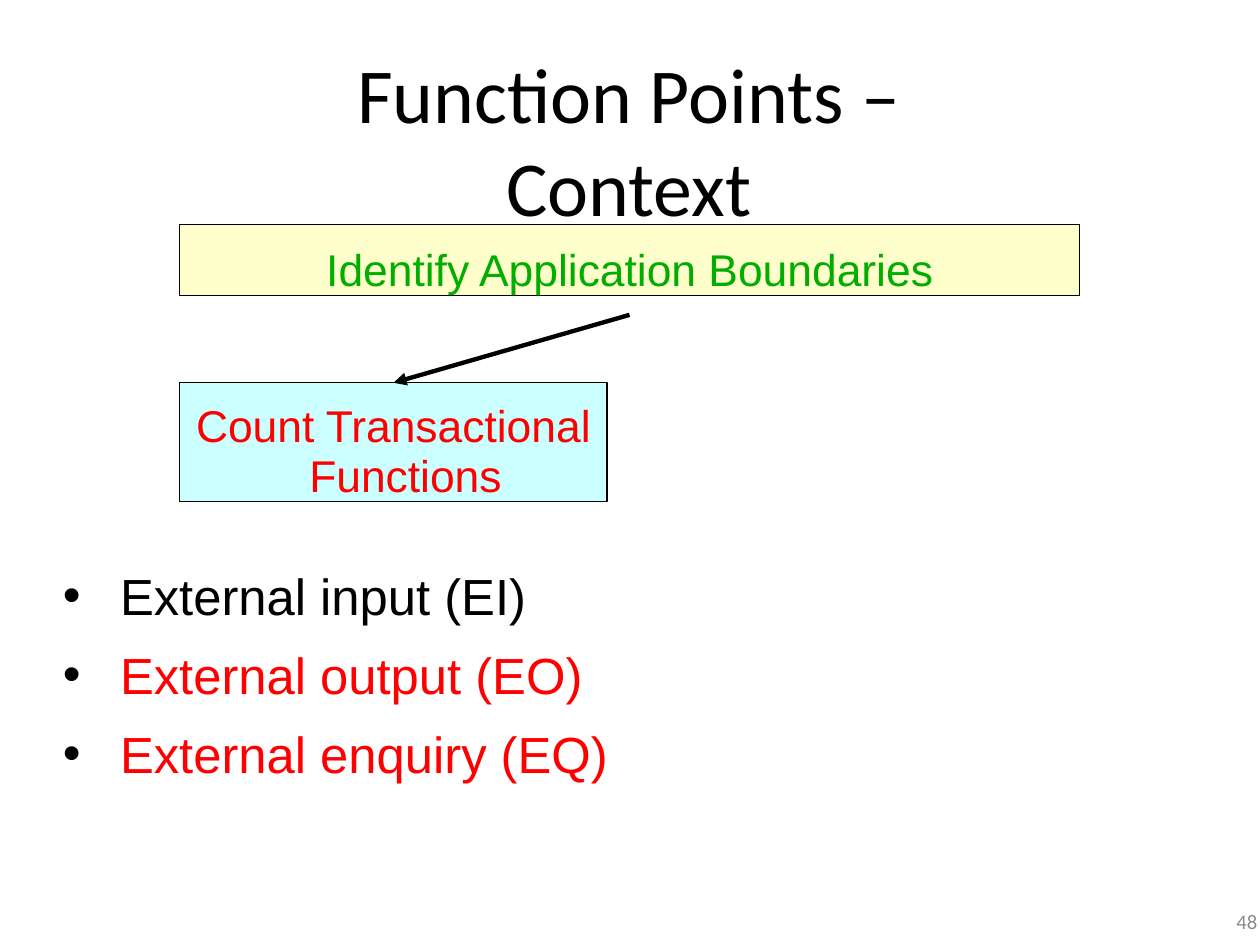
from dataclasses import dataclass

from lxml.etree import SubElement
from pptx import Presentation
from pptx.dml.color import RGBColor
from pptx.enum.shapes import MSO_CONNECTOR, MSO_SHAPE
from pptx.enum.text import MSO_ANCHOR, MSO_AUTO_SIZE, PP_ALIGN
from pptx.oxml.ns import qn
from pptx.shapes.autoshape import Shape
from pptx.slide import Slide
from pptx.text.text import TextFrame, _Paragraph as Paragraph
from pptx.util import Cm, Length, Pt

BLACK = RGBColor(0x00, 0x00, 0x00)
GRAY = RGBColor(0x8C, 0x8C, 0x8C)
RED = RGBColor(0xFF, 0x00, 0x00)
GREEN = RGBColor(0x00, 0xAD, 0x00)
CREAM = RGBColor(0xFF, 0xFF, 0xCC)
PALE_CYAN = RGBColor(0xCC, 0xFF, 0xFF)
TITLE_ONLY = 5


@dataclass(frozen=True)
class Area:
    left: Length
    top: Length
    width: Length
    height: Length


@dataclass(frozen=True)
class StepBox:
    text: str
    area: Area
    fill: RGBColor
    color: RGBColor
    top_inset: Length
    space_before: Length


@dataclass(frozen=True)
class Bullet:
    text: str
    color: RGBColor
    space_before: Length


TITLE_AREA = Area(Cm(5.05), Cm(2.13), Cm(17.86), Cm(1.93))
LIST_AREA = Area(Cm(1.37), Cm(12.12), Cm(12.19), Cm(5.33))
NUMBER_AREA = Area(Cm(27.05), Cm(19.94), Cm(0.91), Cm(0.81))
BOUNDARIES = StepBox(
    "Identify Application Boundaries", Area(Cm(4), Cm(5), Cm(20), Cm(1.57)),
    CREAM, GREEN, Cm(0.38), Pt(10.6),
)
TRANSACTIONS = StepBox(
    "Count Transactional Functions", Area(Cm(4), Cm(8.51), Cm(9.5), Cm(2.64)),
    PALE_CYAN, RED, Cm(0.43), Pt(12.1),
)
BULLETS = [
    Bullet("External input (EI)", BLACK, Pt(12.2)),
    Bullet("External output (EO)", RED, Pt(11.3)),
    Bullet("External enquiry (EQ)", RED, Pt(11.3)),
]


def prepare_frame(frame: TextFrame, anchor: MSO_ANCHOR, top: Length = Cm(0), side: Length = Cm(0)) -> None:
    frame.word_wrap = True
    frame.auto_size = MSO_AUTO_SIZE.SHAPE_TO_FIT_TEXT
    frame.vertical_anchor = anchor
    frame.margin_left = frame.margin_right = side
    frame.margin_top, frame.margin_bottom = top, Cm(0)


def write(paragraph: Paragraph, text: str, font: str, size: float, color: RGBColor, align: PP_ALIGN) -> None:
    paragraph.text = text
    paragraph.alignment = align
    paragraph.font.name = font
    paragraph.font.size = Pt(size)
    paragraph.font.color.rgb = color


def set_indent(paragraph: Paragraph, left: Length, first: Length) -> None:
    properties = paragraph._p.get_or_add_pPr()
    properties.set("marL", str(int(left)))
    properties.set("indent", str(int(first)))


def add_text_box(slide: Slide, area: Area) -> Shape:
    return slide.shapes.add_textbox(area.left, area.top, area.width, area.height)


def add_title(slide: Slide) -> None:
    title = slide.shapes.title
    title.left, title.top = TITLE_AREA.left, TITLE_AREA.top
    title.width, title.height = TITLE_AREA.width, TITLE_AREA.height
    prepare_frame(title.text_frame, MSO_ANCHOR.MIDDLE, side=Cm(0.5))
    paragraph = title.text_frame.paragraphs[0]
    write(paragraph, "Function Points – Context", "Calibri", 49, BLACK, PP_ALIGN.CENTER)
    paragraph.space_before = Pt(1)


def add_step_box(slide: Slide, step: StepBox) -> Paragraph:
    area = step.area
    box = slide.shapes.add_shape(MSO_SHAPE.RECTANGLE, area.left, area.top, area.width, area.height)
    box.shadow.inherit = False
    box.fill.solid()
    box.fill.fore_color.rgb = step.fill
    box.line.color.rgb = BLACK
    box.line.width = Pt(0.75)
    prepare_frame(box.text_frame, MSO_ANCHOR.TOP, step.top_inset)
    paragraph = box.text_frame.paragraphs[0]
    write(paragraph, step.text, "Arial", 28, step.color, PP_ALIGN.CENTER)
    paragraph.space_before = step.space_before
    return paragraph


def add_arrow(slide: Slide, start: tuple[Length, Length], end: tuple[Length, Length]) -> None:
    arrow = slide.shapes.add_connector(MSO_CONNECTOR.STRAIGHT, *start, *end)
    arrow.line.color.rgb = BLACK
    arrow.line.width = Pt(2.75)
    SubElement(arrow.line._get_or_add_ln(), qn("a:tailEnd"), type="triangle")
    SubElement(arrow._element.spPr, qn("a:effectLst"))


def add_bullets(slide: Slide) -> None:
    frame = add_text_box(slide, LIST_AREA).text_frame
    prepare_frame(frame, MSO_ANCHOR.TOP, Cm(0.43))
    for index, bullet in enumerate(BULLETS):
        paragraph = frame.add_paragraph() if index else frame.paragraphs[0]
        write(paragraph, bullet.text, "Arial", 32, bullet.color, PP_ALIGN.LEFT)
        paragraph.space_before = bullet.space_before
        set_indent(paragraph, Cm(1.3), Cm(-1.27))
        properties = paragraph._p.get_or_add_pPr()
        color = SubElement(properties, qn("a:buClr"))
        SubElement(color, qn("a:srgbClr"), val=str(BLACK))
        SubElement(properties, qn("a:buFont"), typeface="Arial")
        SubElement(properties, qn("a:buChar"), char="•")
        properties.append(properties.find(qn("a:defRPr")))


def add_slide_number(slide: Slide) -> None:
    frame = add_text_box(slide, NUMBER_AREA).text_frame
    prepare_frame(frame, MSO_ANCHOR.MIDDLE)
    paragraph = frame.paragraphs[0]
    write(paragraph, "48", "Calibri", 13, GRAY, PP_ALIGN.RIGHT)
    paragraph.line_spacing = Pt(22.9)


presentation = Presentation()
presentation.slide_width, presentation.slide_height = Cm(28.02), Cm(21.01)
slide = presentation.slides.add_slide(presentation.slide_layouts[TITLE_ONLY])

add_title(slide)
add_slide_number(slide)
add_bullets(slide)
add_step_box(slide, BOUNDARIES)
transactions_text = add_step_box(slide, TRANSACTIONS)
transactions_text.alignment = PP_ALIGN.LEFT
transactions_text.line_spacing = Pt(31.3)
set_indent(transactions_text, Cm(2.88), Cm(-2.52))

target = TRANSACTIONS.area
boundaries_center = BOUNDARIES.area.left + BOUNDARIES.area.width // 2
add_arrow(slide, (boundaries_center, Cm(7)), (target.left + target.width // 2, target.top))

presentation.save("out.pptx")
